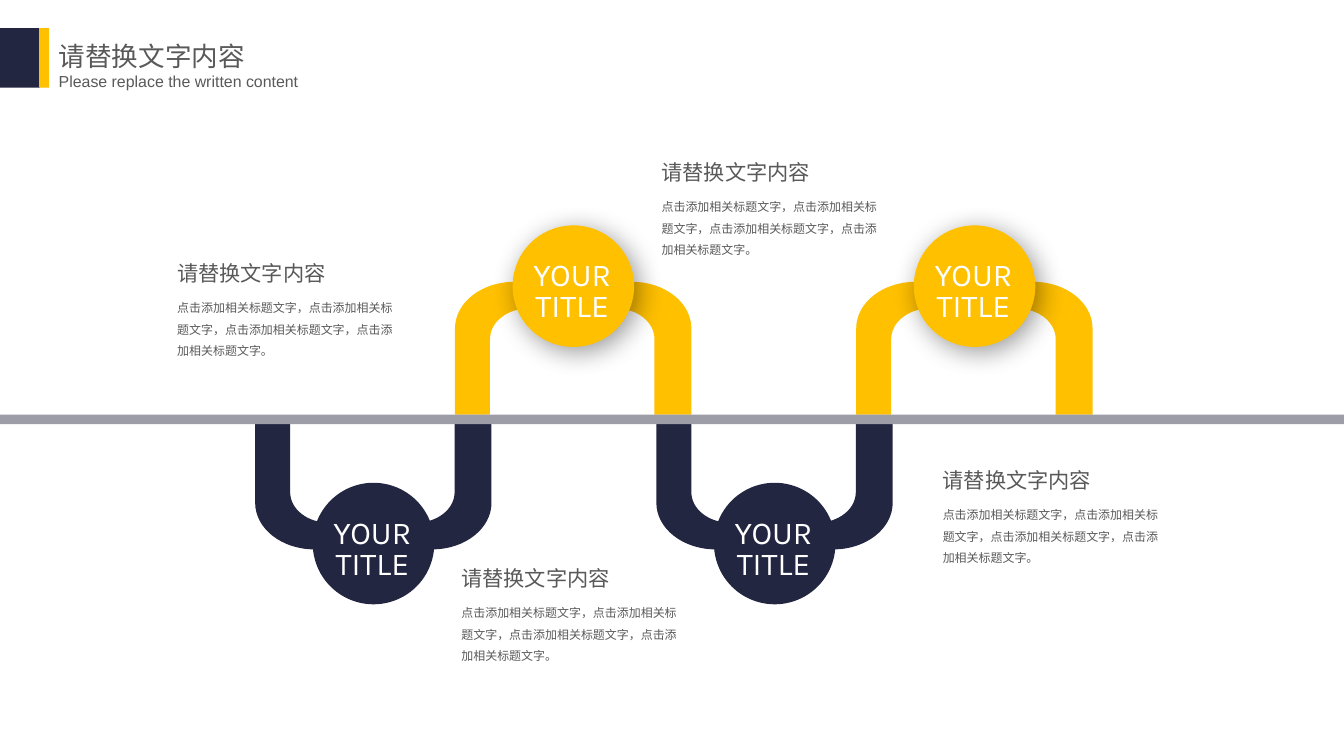
from lxml.etree import SubElement
from pptx import Presentation
from pptx.dml.color import RGBColor
from pptx.enum.shapes import MSO_SHAPE as SHAPE
from pptx.enum.text import MSO_AUTO_SIZE as AUTO, PP_ALIGN as ALIGN
from pptx.oxml.ns import qn
from pptx.util import Cm, Pt

NAVY = RGBColor(0x23, 0x26, 0x41)
GOLD = RGBColor(0xFF, 0xC0, 0x00)
GRAY = RGBColor(0x9D, 0x9D, 0xA8)
TEXT = RGBColor(0x59, 0x59, 0x59)
WHITE = RGBColor(0xFF, 0xFF, 0xFF)
CJK = "Noto Sans CJK SC"
HEADING = "请替换文字内容"
BODY = "点击添加相关标题文字，点击添加相关标题文字，点击添加相关标题文字，点击添加相关标题文字。"

prs = Presentation()
prs.slide_width, prs.slide_height = Cm(35.71), Cm(20.09)
s = prs.slides.add_slide(prs.slide_layouts[6])


def paint(sp, color):
    """Give a shape a flat fill with no line and no shadow."""
    sp.fill.solid()
    sp.fill.fore_color.rgb = color
    sp.line.fill.background()
    sp.shadow.inherit = False


def add_text(text, box, size, font, color=TEXT, spacing=1.0, wrap=False, align=ALIGN.LEFT):
    tf = s.shapes.add_textbox(*map(Cm, box)).text_frame
    tf.word_wrap = wrap
    tf.auto_size = AUTO.SHAPE_TO_FIT_TEXT
    p = tf.paragraphs[0]
    p.alignment = align
    p.line_spacing = spacing
    r = p.add_run()
    r.text = text
    for name, value in {"size": Pt(size), "name": font}.items():
        setattr(r.font, name, value)
    r.font.color.rgb = color
    SubElement(r.font._element, qn("a:ea"), typeface=CJK)


# Outline of a U-shaped bend; each rounded corner is a Bezier curve
# whose two control points and end point start at an index in CURVES
BEND = [
    (0, 0), (0.93, 0), (0.93, 2.01),
    (0.93, 2.46), (1.39, 2.82), (1.95, 2.82),
    (4.28, 2.82),
    (4.84, 2.82), (5.3, 2.46), (5.3, 2.01),
    (5.3, 0), (6.28, 0), (6.28, 2.29),
    (6.28, 2.98), (5.57, 3.53), (4.71, 3.53),
    (1.57, 3.53),
    (0.71, 3.53), (0, 2.98), (0, 2.29),
]
CURVES = [3, 7, 13, 17]

# Bends hang below and stand above the bar in turn
for n in range(4):
    pair_left = 6.78 + 10.66 * (n // 2)
    if n % 2 == 0:
        left, color, base, turn, circle_top, label_top = pair_left, NAVY, 11.07, 1, 12.83, 13.7
    else:
        left, color, base, turn, circle_top, label_top = pair_left + 5.31, GOLD, 11.02, -1, 5.99, 6.84
    points = [(Cm(left + x), Cm(base + turn * y)) for x, y in BEND]
    fb = s.shapes.build_freeform(*points[0])
    fb.add_line_segments(points[1:], close=True)
    bend = fb.convert_to_shape()
    paint(bend, color)
    outline = bend._element.spPr.find(".//" + qn("a:path"))
    steps = list(outline)
    for i in CURVES:
        curve = SubElement(outline, qn("a:cubicBezTo"))
        outline.replace(steps[i], curve)
        for step in steps[i:i + 3]:
            curve.append(step[0])
        for step in steps[i + 1:i + 3]:
            outline.remove(step)

    circle = s.shapes.add_shape(SHAPE.OVAL, Cm(left + 1.53), Cm(circle_top), Cm(3.23), Cm(3.23))
    paint(circle, color)
    if color == GOLD:
        effects = circle._element.spPr.find(qn("a:effectLst"))
        shadow = SubElement(effects, qn("a:outerShdw"), blurRad=str(Pt(20)), dist=str(Pt(5)),
                            dir="2700000", algn="tl", rotWithShape="0")
        black = SubElement(shadow, qn("a:srgbClr"), val="000000")
        SubElement(black, qn("a:alpha"), val="40000")
    add_text("YOUR TITLE", (left + 1.73, label_top, 2.77, 1.9), 24, "Karla",
             WHITE, 0.8, True, ALIGN.CENTER)

bar = s.shapes.add_shape(SHAPE.RECTANGLE, 0, Cm(11.02), prs.slide_width, Cm(0.25))
paint(bar, GRAY)

for left, top in [(4.46, 6.79), (12.01, 14.9), (17.33, 4.11), (24.8, 12.3)]:
    add_text(BODY, (left, top + 0.88, 6.48, 1.98), 9, CJK, spacing=1.5, wrap=True)
    add_text(HEADING, (left, top, 4.5, 0.94), 16, "Calibri")

add_text(HEADING, (1.31, 0.51, 5.51, 1.4), 20, "Calibri", spacing=1.5)
add_text("Please replace the written content", (1.31, 1.52, 6.93, 0.94), 12, "Arial", spacing=1.5)

marker = s.shapes.add_group_shape()
for left, width, color in [(0, 1.07, NAVY), (1.04, 0.27, GOLD)]:
    paint(marker.shapes.add_shape(SHAPE.RECTANGLE, Cm(left), Cm(0.75), Cm(width), Cm(1.58)), color)

prs.save("out.pptx")
